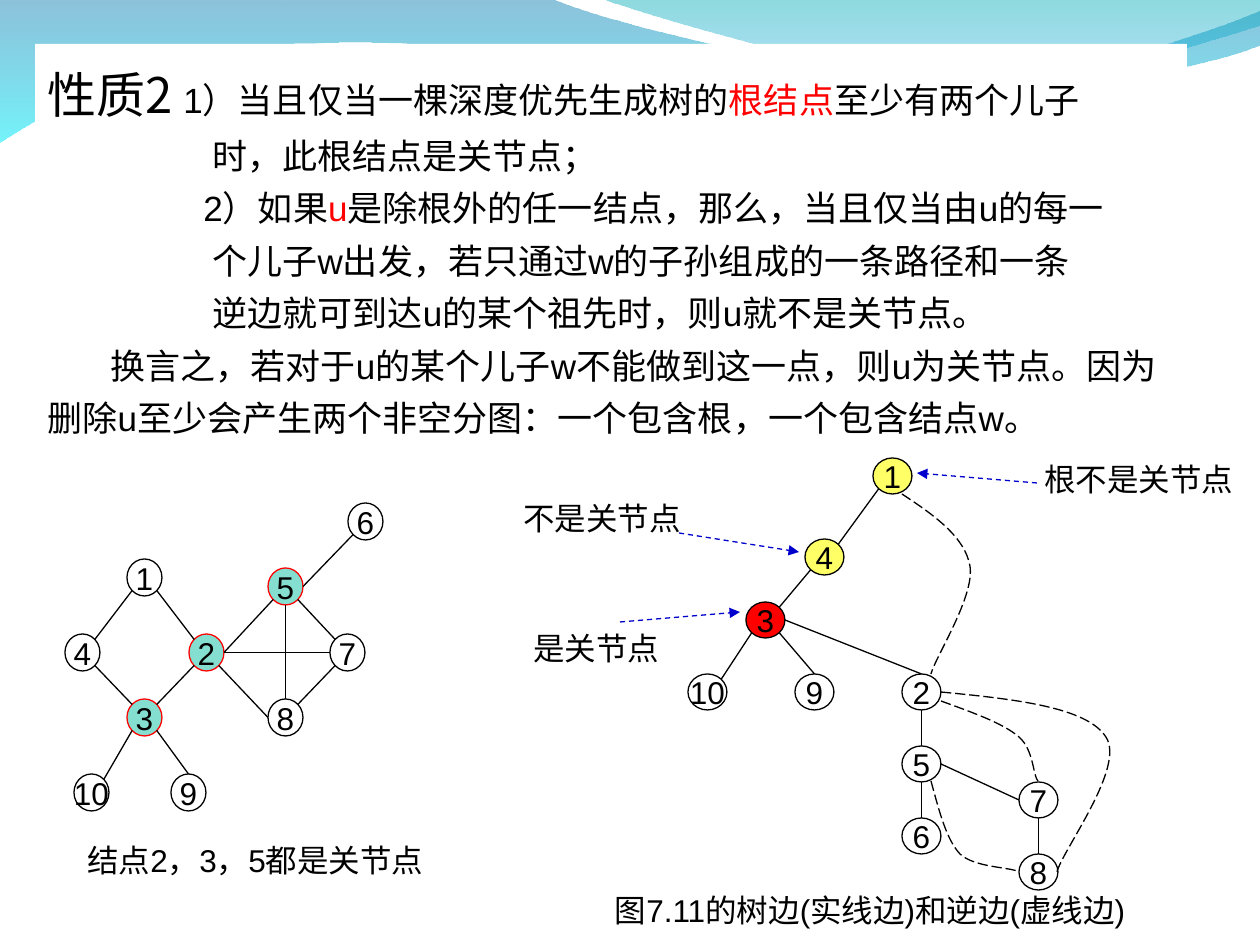
from lxml.etree import Element, SubElement
from pptx import Presentation
from pptx.dml.color import RGBColor
from pptx.enum.dml import MSO_LINE
from pptx.enum.shapes import MSO_CONNECTOR, MSO_SHAPE
from pptx.enum.text import MSO_ANCHOR, PP_ALIGN
from pptx.oxml.ns import qn
from pptx.util import Emu, Pt

PX_PER_INCH = 126
BLACK = RGBColor(0x00, 0x00, 0x00)
WHITE = RGBColor(0xFF, 0xFF, 0xFF)
RED = RGBColor(0xFF, 0x00, 0x00)
YELLOW = RGBColor(0xFF, 0xFF, 0x66)
TEAL = RGBColor(0x85, 0xDF, 0xD0)
BLUE = RGBColor(0x00, 0x00, 0xCC)
LATIN, CJK = "Arial", "Noto Sans CJK SC"
DIAGONAL = 0.35
SITES = {"n": (0, -0.5), "s": (0, 0.5), "w": (-0.5, 0), "e": (0.5, 0),
         "nw": (-DIAGONAL, -DIAGONAL), "ne": (DIAGONAL, -DIAGONAL),
         "sw": (-DIAGONAL, DIAGONAL), "se": (DIAGONAL, DIAGONAL)}


def px(length):
    return Emu(round(length * 914400 / PX_PER_INCH))


def add_span(para, text, size=18, color=BLACK, latin=LATIN):
    span = para.add_run()
    span.text = text
    span.font.size = Pt(size)
    span.font.color.rgb = color
    span.font.name = latin
    SubElement(span._r.get_or_add_rPr(), qn("a:ea"), typeface=CJK)


def add_label(page, box, text, align=PP_ALIGN.LEFT, wrap=True):
    frame = page.shapes.add_textbox(*map(px, box)).text_frame
    frame.word_wrap = wrap
    para = frame.paragraphs[0]
    para.alignment = align
    add_span(para, text)


def add_line(page, start, end, color=BLACK, arrow=False):
    line = page.shapes.add_connector(MSO_CONNECTOR.STRAIGHT, *map(px, (*start, *end)))
    line.line.color.rgb = color
    line.line.width = Pt(0.75)
    if arrow:
        line.line.dash_style = MSO_LINE.DASH
        SubElement(line.line._get_or_add_ln(), qn("a:tailEnd"), type="triangle")
    SubElement(line._element.spPr, qn("a:effectLst"))


def add_outline(page, start, segments, close):
    """Join segments of one point (straight) or three points (cubic curve)."""
    builder = page.shapes.build_freeform(px(start[0]), px(start[1]))
    builder.add_line_segments([(px(x), px(y)) for segment in segments for x, y in segment],
                              close=close)
    outline = builder.convert_to_shape()
    outline.shadow.inherit = False
    steps = iter(list(outline._element.iter(qn("a:lnTo"))))
    for segment in segments:
        parts = [next(steps) for _ in segment]
        if len(parts) == 3:
            curve = Element(qn("a:cubicBezTo"))
            parts[0].addprevious(curve)
            for part in parts:
                curve.append(part[0])
                part.getparent().remove(part)
    return outline


def add_wave(page, start, segments, stops):
    wave = add_outline(page, start, segments, close=True)
    wave.line.fill.background()
    wave.fill.gradient()
    wave.fill.gradient_angle = 270
    for stop, (color, alpha) in zip(wave.fill.gradient_stops, stops):
        stop.color.rgb = RGBColor.from_string(color)
        color_element = stop._gs.find(qn("a:srgbClr"))
        SubElement(color_element, qn("a:alpha"), val=str(alpha * 1000))


def add_header(page):
    add_wave(page, (0, 0), [
        [(554, 0)],
        [(600, 21), (837, 79), (955, 79)],
        [(1075, 79), (1207, 33), (1260, 11)],
        [(1260, 45)],
        [(1239, 55), (1096, 96), (940, 95)],
        [(784, 95), (481, 35), (324, 43)],
        [(163, 44), (58, 105), (0, 142)],
    ], [("0079AF", 45), ("00EBF8", 55)])
    add_wave(page, (604, 0), [
        [(641, 14), (859, 78), (969, 82)],
        [(1079, 87), (1211, 40), (1260, 26)],
        [(1260, 0)],
    ], [("00ADB6", 45), ("009BE5", 30)])


def add_property_text(page, box):
    panel = page.shapes.add_shape(MSO_SHAPE.RECTANGLE, *map(px, box))
    panel.shadow.inherit = False
    panel.fill.solid()
    panel.fill.fore_color.rgb = WHITE
    panel.line.fill.background()
    frame = panel.text_frame
    frame.word_wrap = True
    frame.vertical_anchor = MSO_ANCHOR.TOP
    # left margin, first-line indent, spans
    rows = [
        (0, 0, [("性质2 ", 28, BLACK, CJK), ("1）当且仅当一棵深度优先生成树的", 20),
                ("根结点", 20, RED), ("至少有两个儿子", 20)]),
        (165, 0, [("时，此根结点是关节点；", 20)]),
        (156, 0, [("2）如果", 20), ("u", 20, RED),
                  ("是除根外的任一结点，那么，当且仅当由u的每一", 20)]),
        (165, 0, [("个儿子w出发，若只通过w的子孙组成的一条路径和一条", 20)]),
        (165, 0, [("逆边就可到达u的某个祖先时，则u就不是关节点。", 20)]),
        (0, 63, [("换言之，若对于u的某个儿子w不能做到这一点，则u为关节点。"
                  "因为删除u至少会产生两个非空分图：一个包含根，一个包含结点w。", 20)]),
    ]
    for number, (margin, indent, spans) in enumerate(rows):
        para = frame.add_paragraph() if number else frame.paragraphs[0]
        para.alignment = PP_ALIGN.LEFT
        para.line_spacing = 1.25
        properties = para._p.get_or_add_pPr()
        properties.set("marL", str(px(margin)))
        properties.set("indent", str(px(indent)))
        for span in spans:
            add_span(para, *span)


def add_node(page, box, name, fill, line):
    node = page.shapes.add_shape(MSO_SHAPE.OVAL, *map(px, box))
    node.shadow.inherit = False
    node.fill.solid()
    node.fill.fore_color.rgb = fill
    node.line.color.rgb = line
    node.line.width = Pt(0.75)
    frame = node.text_frame
    frame.word_wrap = False
    frame.vertical_anchor = MSO_ANCHOR.MIDDLE
    para = frame.paragraphs[0]
    para.alignment = PP_ALIGN.CENTER
    add_span(para, name)


def add_network(page, origin, size, nodes, edges, styles):
    """Draw numbered nodes, then edges written as 'node site node site'."""
    (left, top), (width, height) = origin, size
    for name, (x, y) in nodes.items():
        fill, line = styles.get(name, (WHITE, BLACK))
        add_node(page, (left + x, top + y, width, height), str(name), fill, line)

    def site(name, side):
        x, y = nodes[int(name)]
        across, down = SITES[side]
        return left + x + (0.5 + across) * width, top + y + (0.5 + down) * height

    for edge in edges:
        first, first_side, second, second_side = edge.split()
        add_line(page, site(first, first_side), site(second, second_side))


def add_graph(page, left, top):
    nodes = {1: (62, 56), 4: (0, 131), 2: (124, 131), 3: (62, 196), 10: (9, 271),
             9: (106, 271), 5: (203, 65), 6: (283, 0), 7: (265, 131), 8: (203, 196)}
    edges = ["1 sw 4 ne", "1 se 2 nw", "8 n 5 s", "7 sw 8 ne", "6 sw 5 e", "5 sw 2 e",
             "5 se 7 nw", "2 se 8 w", "2 sw 3 ne", "4 se 3 nw", "3 sw 10 ne", "3 se 9 n",
             "2 e 7 w"]
    add_network(page, (left, top), (35, 37), nodes, edges,
                dict.fromkeys((2, 3, 5), (TEAL, RED)))
    add_label(page, (left + 10, top + 332, 412, 50), "结点2，3，5都是关节点", wrap=False)


def add_tree(page, left, top):
    nodes = {1: (185, -1), 4: (117, 80), 3: (58, 143), 10: (0, 215), 9: (107, 215),
             2: (214, 215), 5: (214, 287), 6: (214, 359), 7: (331, 323), 8: (331, 395)}
    edges = ["1 sw 4 ne", "4 sw 3 ne", "3 sw 10 ne", "3 se 9 n", "3 e 2 n", "2 s 5 n",
             "5 s 6 n", "5 e 7 w", "7 s 8 n"]
    add_network(page, (left, top), (39, 36), nodes, edges,
                {1: (YELLOW, BLACK), 4: (YELLOW, BLACK), 3: (RED, BLACK)})
    back_edges = [
        [(214, 35), (246, 56), (277, 78), (282, 107), (287, 137), (248, 197), (243, 215)],
        [(253, 242), (283, 253), (315, 264), (331, 278), (346, 291), (345, 317), (350, 322)],
        [(243, 322), (251, 351), (258, 380), (272, 395), (287, 409), (323, 408), (331, 413)],
        [(253, 233), (326, 240), (399, 248), (418, 278), (438, 308), (374, 392), (369, 413)],
    ]
    for back_edge in back_edges:
        start, *rest = [(left + x, top + y) for x, y in back_edge]
        curve = add_outline(page, start, [rest[:3], rest[3:]], close=False)
        curve.fill.background()
        curve.line.color.rgb = BLACK
        curve.line.width = Pt(0.75)
        curve.line.dash_style = MSO_LINE.LONG_DASH
    add_label(page, (left - 121, top + 426, 606, 50), "图7.11的树边(实线边)和逆边(虚线边)",
              PP_ALIGN.CENTER, wrap=False)
    callouts = [("根不是关节点", (344, -5), (349, 24), (229, 14)),
                ("不是关节点", (-177, 34), (-9, 74), (111, 93)),
                ("是关节点", (-167, 164), (-68, 163), (52, 153))]
    for text, (x, y), start, end in callouts:
        add_line(page, (left + start[0], top + start[1]), (left + end[0], top + end[1]),
                 BLUE, arrow=True)
        add_label(page, (left + x, top + y, 228, 50), text)


def main():
    deck = Presentation()
    deck.slide_width, deck.slide_height = px(1260), px(945)
    page = deck.slides.add_slide(deck.slide_layouts[6])
    add_header(page)
    add_property_text(page, (35, 44, 1152, 454))
    add_tree(page, 688, 459)
    add_graph(page, 65, 503)
    deck.save("out.pptx")


if __name__ == "__main__":
    main()
